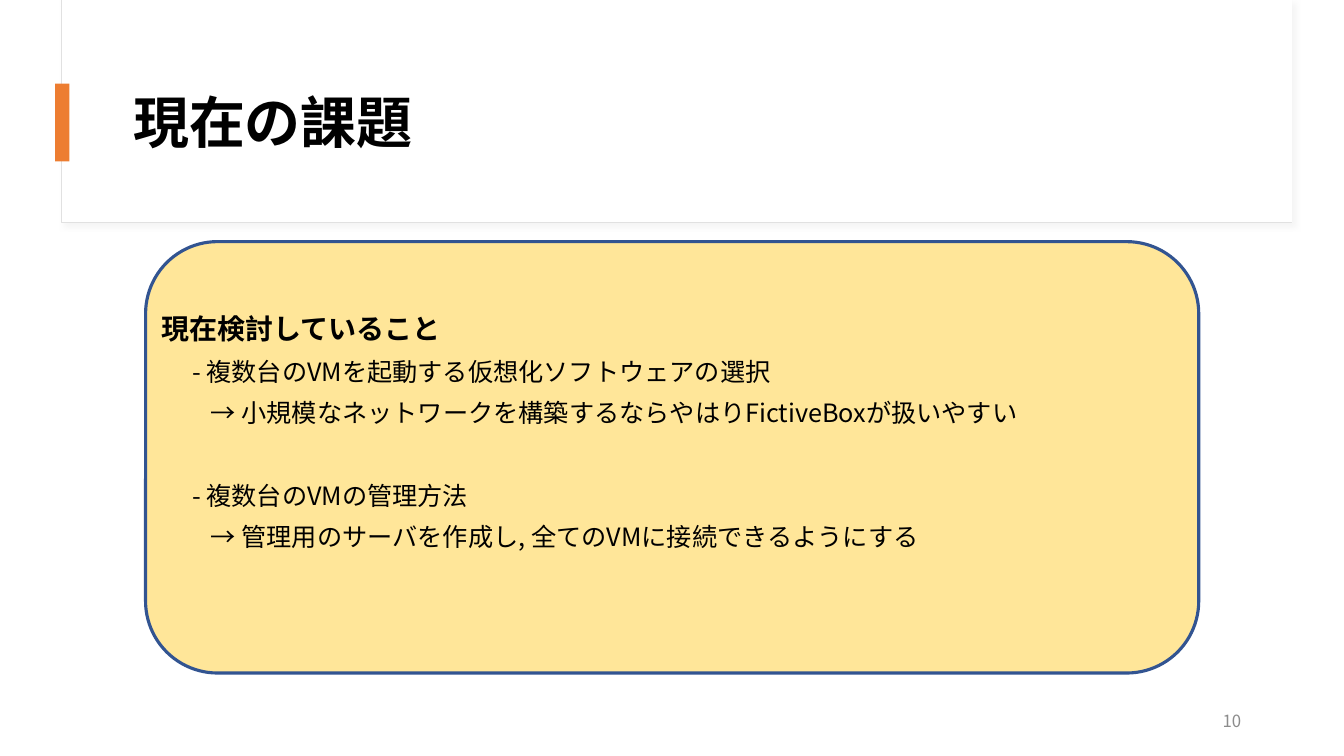
"""Build the slide on current issues in running several virtual machines."""
from copy import deepcopy
from dataclasses import dataclass

from lxml import etree
from pptx import Presentation
from pptx.dml.color import RGBColor
from pptx.enum import shapes, text
from pptx.oxml import ns
from pptx.util import Cm, Pt

TITLE = "現在の課題"
HEADING = "現在検討していること"
TOPICS = [
    ("- 複数台のVMを起動する仮想化ソフトウェアの選択",
     "→ 小規模なネットワークを構築するならやはりFictiveBoxが扱いやすい"),
    ("- 複数台のVMの管理方法",
     "→ 管理用のサーバを作成し, 全てのVMに接続できるようにする"),
]
PAGE_NUMBER = "10"


@dataclass(frozen=True)
class Theme:
    """Colours and type sizes of the slide."""
    font: str = "Noto Sans CJK JP"
    ink: str = "000000"
    muted: str = "8C8C8C"
    white: str = "FFFFFF"
    frame: str = "E1E1E1"
    shadow: str = "D9D9D9"
    accent: str = "ED7D31"
    card: str = "FFE699"
    edge: str = "325491"
    title: float = 40
    heading: float = 20
    body: float = 18
    small: float = 12


THEME = Theme()
TOPIC_INDENT, ANSWER_INDENT = Cm(0.78), Cm(1.25)
LINE_GAP, TOPIC_GAP = 10, 39.4


def add_panel(page, kind, place, fill, edge=None, width=0.75):
    """Add a filled shape with an optional outline."""
    panel = page.shapes.add_shape(kind, *map(Cm, place))
    panel.shadow.inherit = False
    panel.fill.solid()
    panel.fill.fore_color.rgb = RGBColor.from_string(fill)
    if edge:
        panel.line.color.rgb = RGBColor.from_string(edge)
        panel.line.width = Pt(width)
    else:
        panel.line.fill.background()
    return panel


def add_soft_shadow(panel):
    """Give a panel a light shadow towards the lower right."""
    effects = panel.element.spPr.find(ns.qn("a:effectLst"))
    shadow = etree.SubElement(effects, ns.qn("a:outerShdw"), blurRad=str(Pt(4)),
                              dist=str(Pt(3)), dir="2700000", algn="tl", rotWithShape="0")
    colour = etree.SubElement(shadow, ns.qn("a:srgbClr"), val=THEME.shadow)
    etree.SubElement(colour, ns.qn("a:alpha"), val="25000")


def add_box(page, place):
    """Add a wrapping text box."""
    box = page.shapes.add_textbox(*map(Cm, place))
    box.text_frame.word_wrap = True
    return box


def style(para, size, colour=THEME.ink, bold=False, align=text.PP_ALIGN.LEFT):
    """Set the font and alignment of a paragraph."""
    para.alignment = align
    font = para.font
    font.name, font.size, font.bold = THEME.font, Pt(size), bold
    font.color.rgb = RGBColor.from_string(colour)


def add_line(frame, words, indent, gap):
    """Append an indented body line to a text frame."""
    para = frame.add_paragraph()
    para.text = words
    para.line_spacing, para.space_before = 0.9, Pt(gap)
    para._p.get_or_add_pPr().set("marL", str(indent))
    style(para, THEME.body)


def add_title(page):
    """Place the title in front of its frame."""
    title = page.shapes.title
    page.shapes[-1].element.addnext(title.element)
    title.left, title.top, title.width, title.height = map(Cm, (3.1, 1.52, 28.24, 3.28))
    frame = title.text_frame
    frame.text = TITLE
    frame.auto_size = text.MSO_AUTO_SIZE.NONE
    frame.vertical_anchor = text.MSO_ANCHOR.MIDDLE
    frame.paragraphs[0].line_spacing = 0.9
    style(frame.paragraphs[0], THEME.title, bold=True)


def add_body(page):
    """Write the heading, the topics and their answers."""
    frame = add_box(page, (3.81, 6.71, 26.42, 10.26)).text_frame
    frame.margin_top = Cm(1.24)
    heading = frame.paragraphs[0]
    heading.text, heading.line_spacing = HEADING, 0.9
    style(heading, THEME.heading, bold=True)
    for number, (topic, answer) in enumerate(TOPICS):
        add_line(frame, topic, TOPIC_INDENT, TOPIC_GAP if number else LINE_GAP)
        add_line(frame, answer, ANSWER_INDENT, LINE_GAP)


def add_page_number(page):
    """Write the page number at the lower right."""
    frame = add_box(page, (23.91, 17.65, 7.62, 1.02)).text_frame
    frame.vertical_anchor = text.MSO_ANCHOR.MIDDLE
    frame.text = PAGE_NUMBER
    style(frame.paragraphs[0], THEME.small, THEME.muted, align=text.PP_ALIGN.RIGHT)


def use_east_asian_font(page):
    """Repeat every Latin font setting for East Asian text."""
    for latin in list(page.element.iter(ns.qn("a:latin"))):
        east_asian = deepcopy(latin)
        east_asian.tag = ns.qn("a:ea")
        latin.addnext(east_asian)


def main():
    """Build and save the deck."""
    deck = Presentation()
    deck.slide_width, deck.slide_height = Cm(33.87), Cm(19.05)
    page = deck.slides.add_slide(deck.slide_layouts[5])
    kinds = shapes.MSO_SHAPE
    frame = add_panel(page, kinds.RECTANGLE, (1.55, 0, 31.01, 5.61), THEME.white, THEME.frame)
    add_soft_shadow(frame)
    add_panel(page, kinds.RECTANGLE, (1.57, 0, 30.99, 5.59), THEME.white)
    add_title(page)
    add_panel(page, kinds.RECTANGLE, (1.39, 2.11, 0.36, 1.96), THEME.accent)
    add_panel(page, kinds.ROUNDED_RECTANGLE, (3.67, 6.09, 26.54, 10.87),
              THEME.card, THEME.edge, 2.25)
    add_body(page)
    add_page_number(page)
    use_east_asian_font(page)
    deck.save("out.pptx")


if __name__ == "__main__":
    main()
